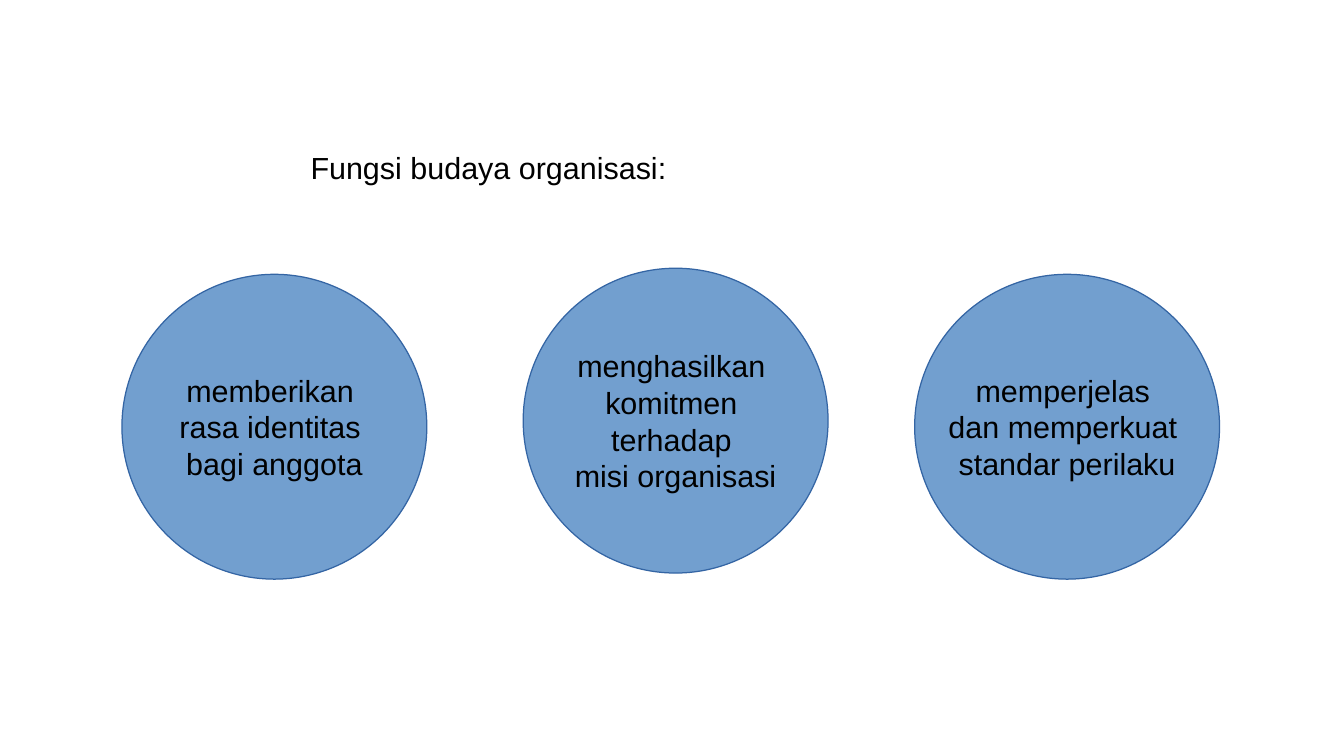
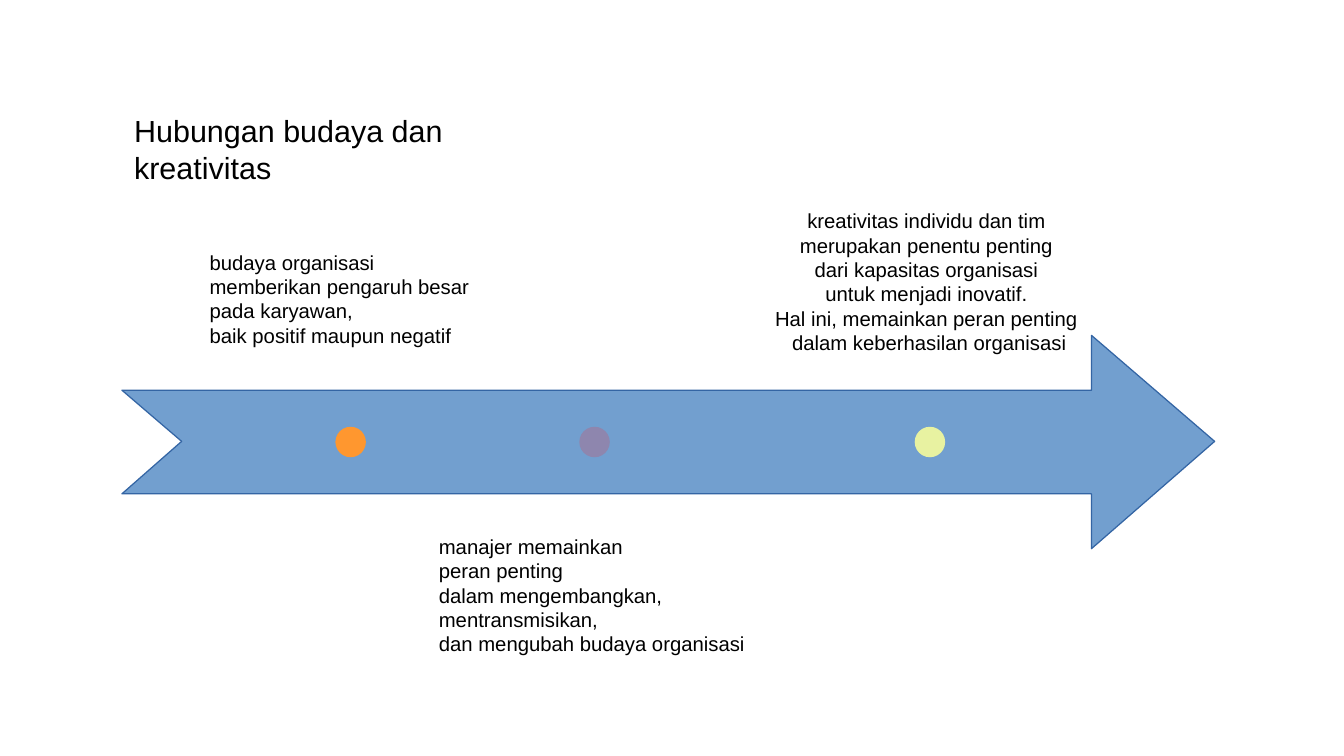
from dataclasses import dataclass

from pptx import Presentation
from pptx.dml.color import RGBColor
from pptx.enum import shapes, text
from pptx.util import Emu, Pt

PX = 9144
FONT = "Arial"
HEADING_SIZE, NOTE_SIZE = 18, 12
CIRCLE, DOT, DOT_TOP = 250, 25, 350
COLOURS = {
    "paper": "FFFFFF",
    "ink": "000000",
    "blue": "729FCF",
    "outline": "3465A4",
    "orange": "FF972F",
    "purple": "8E86AE",
    "lime": "E8F2A1",
}
LEFT, CENTRE = text.PP_ALIGN.LEFT, text.PP_ALIGN.CENTER
ARROW = [
    (100, 320), (895, 320), (895, 275), (996, 362),
    (895, 450), (895, 405), (100, 405), (149, 362),
]


@dataclass(frozen=True)
class Box:
    left: int
    top: int
    width: int
    height: int

    def emu(self) -> list[Emu]:
        return [Emu(n * PX) for n in (self.left, self.top, self.width, self.height)]


@dataclass(frozen=True)
class Function:
    left: int
    top: int
    wording: str


@dataclass(frozen=True)
class Note:
    box: Box
    wording: str
    align: text.PP_ALIGN = LEFT
    wrap: bool = False


@dataclass(frozen=True)
class Milestone:
    left: int
    colour: str


FUNCTIONS = [
    Function(100, 225, "memberikan \nrasa identitas \nbagi anggota"),
    Function(429, 220, "menghasilkan \nkomitmen \nterhadap \nmisi organisasi"),
    Function(750, 225, "memperjelas \ndan memperkuat \nstandar perilaku"),
]
MILESTONES = [Milestone(275, "orange"), Milestone(475, "purple"), Milestone(750, "lime")]
NOTES = [
    Note(Box(162, 200, 238, 85),
         "budaya organisasi\nmemberikan pengaruh besar\npada karyawan,\n"
         "baik positif maupun negatif"),
    Note(Box(350, 433, 272, 103),
         "manajer memainkan\nperan penting\ndalam mengembangkan,\nmentransmisikan,\n"
         "dan mengubah budaya organisasi"),
    Note(Box(625, 166, 274, 122),
         "kreativitas individu dan tim \nmerupakan penentu penting \n"
         "dari kapasitas organisasi \nuntuk menjadi inovatif. \n"
         "Hal ini, memainkan peran penting \ndalam keberhasilan organisasi",
         CENTRE, True),
]


def rgb(name: str) -> RGBColor:
    """Look up a named colour."""
    return RGBColor.from_string(COLOURS[name])


def write(frame, wording: str, size: int, align, wrap: bool = False,
          anchor=text.MSO_ANCHOR.TOP) -> None:
    """Fill a text frame and format every paragraph alike."""
    frame.text = wording
    frame.word_wrap = wrap
    frame.vertical_anchor = anchor
    frame.auto_size = text.MSO_AUTO_SIZE.NONE
    for paragraph in frame.paragraphs:
        paragraph.alignment = align
        for run in paragraph.runs:
            run.font.name = FONT
            run.font.size = Pt(size)
            run.font.color.rgb = rgb("ink")


def paint(shape, fill: str, outline: str | None = None) -> None:
    """Give a shape a flat fill and an optional hairline."""
    shape.shadow.inherit = False
    shape.fill.solid()
    shape.fill.fore_color.rgb = rgb(fill)
    if outline:
        shape.line.color.rgb = rgb(outline)
        shape.line.width = Pt(0)
    else:
        shape.line.fill.background()


def add_titled_slide(deck, title: str, box: Box, align):
    """Add a title-only slide with its heading in place."""
    slide = deck.slides.add_slide(deck.slide_layouts[5])
    slide.background.fill.solid()
    slide.background.fill.fore_color.rgb = rgb("paper")
    heading = slide.shapes.title
    heading.left, heading.top, heading.width, heading.height = box.emu()
    write(heading.text_frame, title, HEADING_SIZE, align)
    return slide


def add_circle(slide, box: Box, fill: str, outline: str | None = None):
    """Draw a painted circle."""
    circle = slide.shapes.add_shape(shapes.MSO_SHAPE.OVAL, *box.emu())
    paint(circle, fill, outline)
    return circle


def add_arrow(slide) -> None:
    """Draw the notched arrow that carries the milestones."""
    builder = slide.shapes.build_freeform(*ARROW[0], scale=PX)
    builder.add_line_segments(ARROW[1:], close=True)
    paint(builder.convert_to_shape(), "blue", "outline")


def add_note(slide, note: Note) -> None:
    """Place a note beside the arrow."""
    frame = slide.shapes.add_textbox(*note.box.emu()).text_frame
    write(frame, note.wording, NOTE_SIZE, note.align, note.wrap)


def build_functions(deck) -> None:
    """Build the slide on the functions of culture."""
    slide = add_titled_slide(deck, "Fungsi budaya organisasi: ",
                             Box(180, 117, 448, 38), CENTRE)
    for function in FUNCTIONS:
        circle = add_circle(slide, Box(function.left, function.top, CIRCLE, CIRCLE),
                            "blue", "outline")
        write(circle.text_frame, function.wording, HEADING_SIZE, CENTRE,
              anchor=text.MSO_ANCHOR.MIDDLE)


def build_relation(deck) -> None:
    """Build the slide on culture and creativity."""
    slide = add_titled_slide(deck, "Hubungan budaya dan kreativitas",
                             Box(100, 87, 392, 38), LEFT)
    add_arrow(slide)
    for milestone in MILESTONES:
        add_circle(slide, Box(milestone.left, DOT_TOP, DOT, DOT), milestone.colour)
    for note in NOTES:
        add_note(slide, note)


def main() -> None:
    """Build and save the deck."""
    deck = Presentation()
    deck.slide_width, deck.slide_height = Emu(1102 * PX), Emu(620 * PX)
    build_functions(deck)
    build_relation(deck)
    deck.save("out.pptx")


if __name__ == "__main__":
    main()
